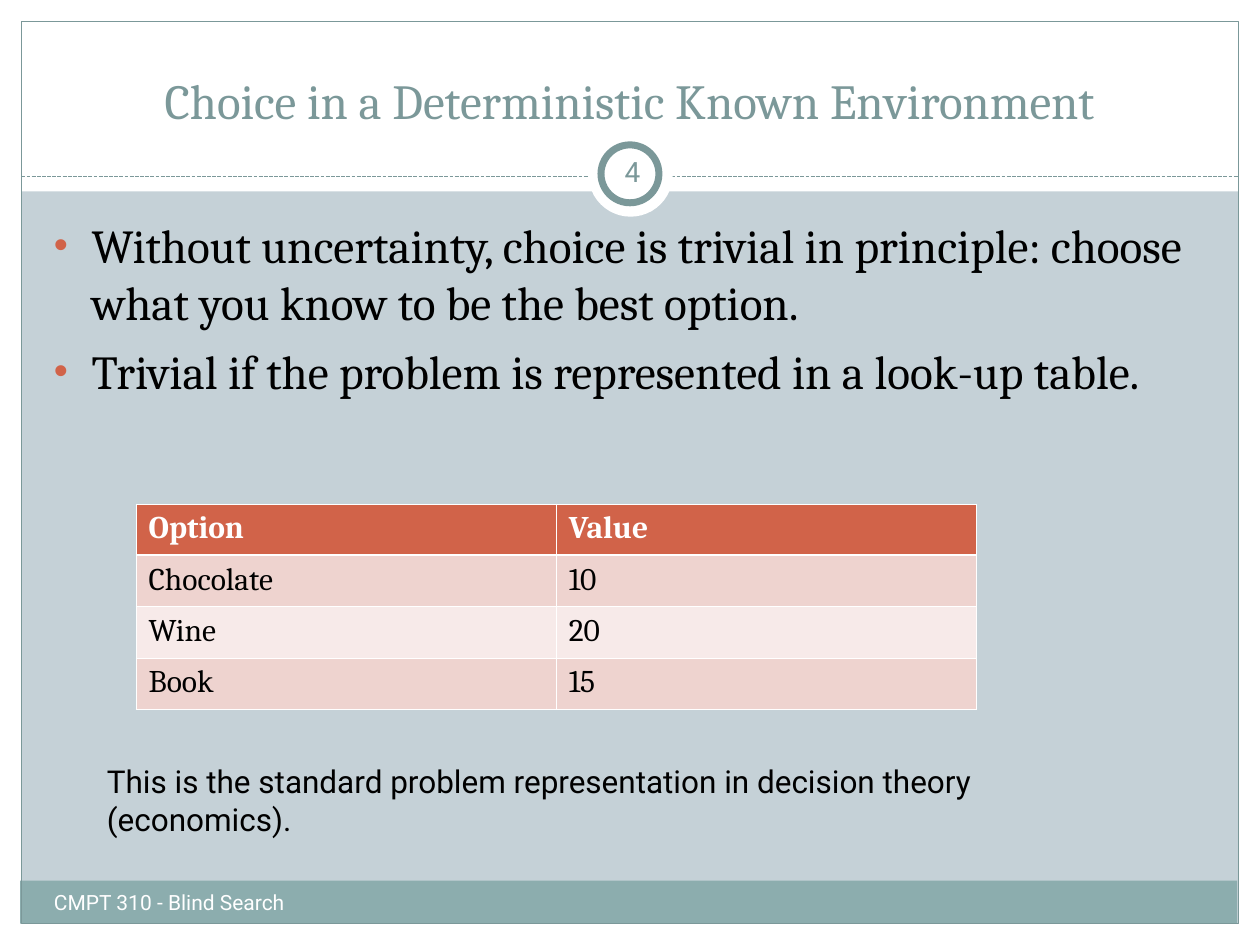
from lxml import etree
from pptx import Presentation
from pptx.dml.color import RGBColor
from pptx.enum.dml import MSO_LINE
from pptx.enum.shapes import MSO_CONNECTOR, MSO_SHAPE
from pptx.enum.text import MSO_ANCHOR, PP_ALIGN
from pptx.oxml.ns import qn
from pptx.util import Inches, Pt

WHITE = RGBColor(0xFF, 0xFF, 0xFF)
BLACK = RGBColor(0x00, 0x00, 0x00)
SLATE = RGBColor(0x7B, 0x98, 0x99)
TEAL = RGBColor(0x8C, 0xAD, 0xAE)
MIST = RGBColor(0xC5, 0xD1, 0xD7)
RUST = RGBColor(0xD1, 0x63, 0x49)
ROSE = RGBColor(0xEE, 0xD3, 0xCF)
PALE_ROSE = RGBColor(0xF7, 0xEA, 0xE9)

RECTANGLE, OVAL = MSO_SHAPE.RECTANGLE, MSO_SHAPE.OVAL
STRAIGHT = MSO_CONNECTOR.STRAIGHT
DASH = MSO_LINE.SQUARE_DOT
LEFT, CENTER = PP_ALIGN.LEFT, PP_ALIGN.CENTER
TOP, MIDDLE, BOTTOM = MSO_ANCHOR.TOP, MSO_ANCHOR.MIDDLE, MSO_ANCHOR.BOTTOM

SERIF, SANS = "Cambria", "Roboto"
POINTS = ["Without uncertainty, choice is trivial in principle: "
          "choose what you know to be the best option.",
          "Trivial if the problem is represented in a look-up table."]
OPTIONS = [("Option", "Value"), ("Chocolate", "10"), ("Wine", "20"), ("Book", "15")]
ROW_FILLS = [RUST, ROSE, PALE_ROSE, ROSE]


def add_figure(page, kind, place, fill=None, line=None, width=0.75):
    shape = page.shapes.add_shape(kind, *map(Inches, place))
    shape.shadow.inherit = False
    if fill is None:
        shape.fill.background()
    else:
        shape.fill.solid()
        shape.fill.fore_color.rgb = fill
    if line is None:
        shape.line.fill.background()
    else:
        shape.line.color.rgb = line
        shape.line.width = Pt(width)


def add_dashed_rule(page, left, right, height):
    rule = page.shapes.add_connector(
        STRAIGHT, Inches(left), Inches(height), Inches(right), Inches(height))
    rule.line.color.rgb = SLATE
    rule.line.width = Pt(0.75)
    rule.line.dash_style = DASH
    etree.SubElement(rule._element.spPr, qn("a:effectLst"))


def write(para, text, size=18, font=SANS, color=BLACK, bold=False, align=LEFT):
    para.alignment = align
    span = para.add_run()
    span.text = text
    span.font.size = Pt(size)
    span.font.name = font
    span.font.bold = bold
    span.font.color.rgb = color


def add_text_box(page, place, anchor=TOP, side=0.1):
    box = page.shapes.add_textbox(*map(Inches, place))
    frame = box.text_frame
    frame.word_wrap = True
    frame.vertical_anchor = anchor
    frame.margin_left = frame.margin_right = Inches(side)
    return frame


def add_text(page, place, text, anchor=TOP, side=0.1, **style):
    write(add_text_box(page, place, anchor, side).paragraphs[0], text, **style)


def set_bullet(para):
    properties = para._p.get_or_add_pPr()
    properties.set("marL", str(Inches(0.3)))
    properties.set("indent", str(-Inches(0.3)))
    color = etree.SubElement(properties, qn("a:buClr"))
    etree.SubElement(color, qn("a:srgbClr"), val=str(RUST))
    etree.SubElement(properties, qn("a:buSzPct"), val="85000")
    etree.SubElement(properties, qn("a:buFont"), typeface="Arial")
    etree.SubElement(properties, qn("a:buChar"), char="•")


def add_bullets(page, place, points, **style):
    frame = add_text_box(page, place)
    for number, point in enumerate(points):
        para = frame.add_paragraph() if number else frame.paragraphs[0]
        set_bullet(para)
        if number:
            para.space_before = Pt(6.8)
        write(para, point, **style)


def set_borders(cell, top, bottom):
    properties = cell._tc.get_or_add_tcPr()
    sides = {"lnL": 0.45, "lnR": 0.45, "lnT": top, "lnB": bottom}
    for position, (side, width) in enumerate(sides.items()):
        line = etree.Element(qn(f"a:{side}"), w=str(Pt(width)))
        fill = etree.SubElement(line, qn("a:solidFill"))
        etree.SubElement(fill, qn("a:srgbClr"), val=str(WHITE))
        properties.insert(position, line)


def add_option_table(page, place):
    table = page.shapes.add_table(
        len(OPTIONS), len(OPTIONS[0]), *map(Inches, place)).table
    for row, values in enumerate(OPTIONS):
        header = row == 0
        for column, value in enumerate(values):
            cell = table.cell(row, column)
            cell.fill.solid()
            cell.fill.fore_color.rgb = ROW_FILLS[row]
            set_borders(cell, top=1.47 if row == 1 else 0.45,
                        bottom=1.47 if header else 0.45)
            write(cell.text_frame.paragraphs[0], value, font=SERIF,
                  color=WHITE if header else BLACK, bold=header)


def add_frame(page):
    for place in [(0, 7.33, 10, 0.17), (0, 0, 10, 1.52),
                  (0, 0, 0.17, 7.5), (9.83, 0, 0.17, 7.5)]:
        add_figure(page, RECTANGLE, place, fill=WHITE)
    add_figure(page, RECTANGLE, (0.16, 6.99, 9.66, 0.34), fill=TEAL)
    add_figure(page, RECTANGLE, (0.17, 0.17, 9.66, 7.16), line=SLATE)
    add_dashed_rule(page, 0.17, 9.83, 1.4)
    add_figure(page, OVAL, (4.67, 1.05, 0.67, 0.67), fill=WHITE)
    add_figure(page, OVAL, (4.77, 1.15, 0.46, 0.46), fill=WHITE, line=SLATE, width=4)


def main():
    deck = Presentation()
    deck.slide_width, deck.slide_height = Inches(10), Inches(7.5)
    page = deck.slides.add_slide(deck.slide_layouts[6])
    page.background.fill.solid()
    page.background.fill.fore_color.rgb = MIST
    add_frame(page)
    add_text(page, (0.33, 0.25, 9.33, 0.83),
             "Choice in a Deterministic Known Environment",
             anchor=BOTTOM, size=28, font=SERIF, color=SLATE, align=CENTER)
    add_bullets(page, (0.33, 1.67, 9.3, 5), POINTS, size=27, font=SERIF)
    add_text(page, (0.33, 7.01, 3.92, 0.4), "CMPT 310 - Blind Search",
             size=12, color=WHITE)
    add_text(page, (4.77, 1.12, 0.5, 0.48), "4", anchor=MIDDLE, side=0.05,
             size=16, color=SLATE, align=CENTER)
    add_option_table(page, (1.08, 4, 6.67, 1.63))
    add_text(page, (0.75, 6, 7.58, 0.7),
             "This is the standard problem representation in decision theory (economics).")
    deck.save("out.pptx")


if __name__ == "__main__":
    main()
